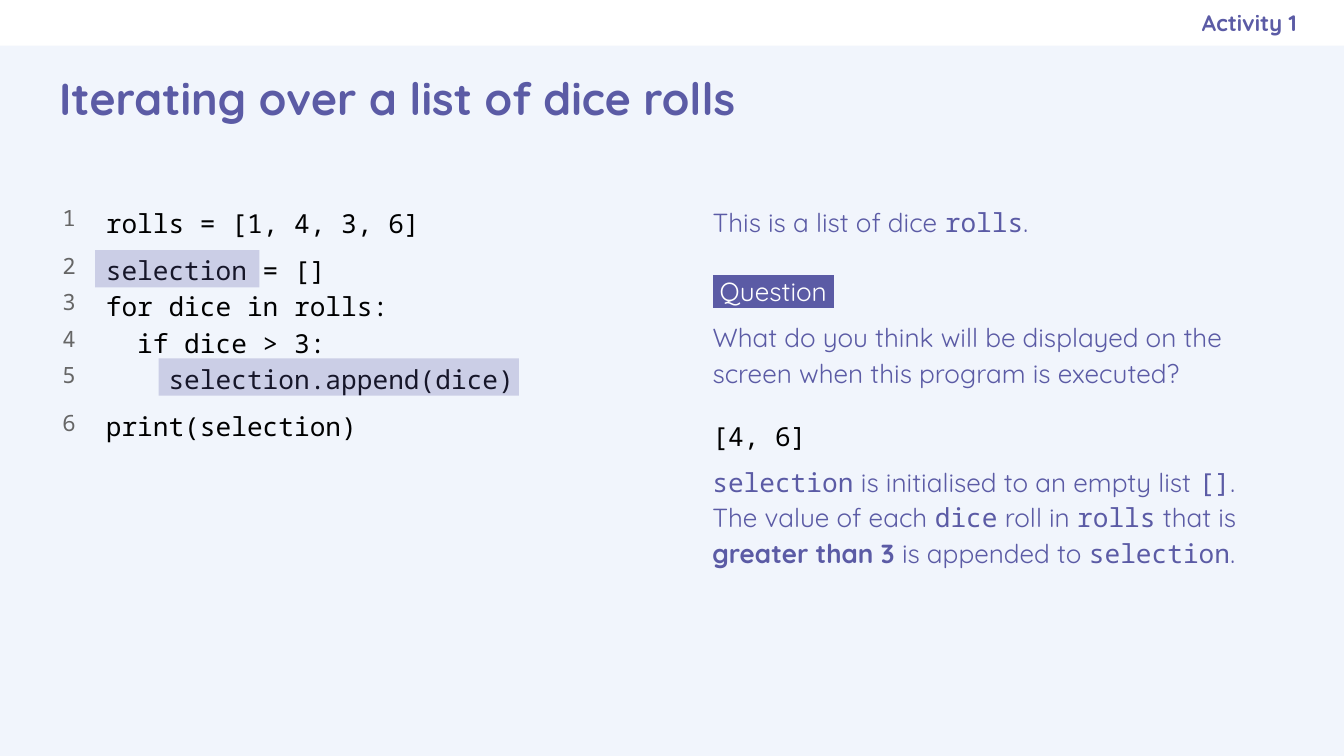
from dataclasses import dataclass

from lxml import etree
from pptx import Presentation
from pptx.dml import color as dml
from pptx.enum import shapes, text
from pptx.oxml import ns
from pptx.util import Pt

HUES = {
    "back": "F1F5FC",
    "white": "FFFFFF",
    "main": "5B5BA5",
    "code": "000000",
    "count": "666666",
}
SANS, MONO = "Quicksand", "Noto Sans Mono"
LEFT, RIGHT = text.PP_ALIGN.LEFT, text.PP_ALIGN.RIGHT
TOP, MIDDLE = text.MSO_ANCHOR.TOP, text.MSO_ANCHOR.MIDDLE


@dataclass
class Run:
    words: str
    font: str = SANS
    bold: bool = False
    mark: str = ""


@dataclass
class Para:
    runs: list[Run]
    hue: str = "main"
    size: float = 14
    before: float = 0
    line: float = 1.12
    align: int = LEFT


@dataclass
class Box:
    left: float
    top: float
    width: float
    height: float
    paras: list[Para]
    pads: tuple = (7.2, 7.2, 7.2, 7.2)
    anchor: int = TOP


def rgb(hue: str) -> dml.RGBColor:
    return dml.RGBColor.from_string(HUES[hue])


def mono(words: str) -> Run:
    return Run(words, MONO)


def add_run(par, run: Run, hue: str, mixed: bool) -> None:
    item = par.add_run()
    item.text = run.words
    if mixed:
        item.font.name = run.font
        item.font.bold = run.bold
    if run.mark:
        item.font.color.rgb = rgb(hue)
        fill = item._r.rPr.find(ns.qn("a:solidFill"))
        high = etree.Element(ns.qn("a:highlight"))
        etree.SubElement(high, ns.qn("a:srgbClr"), val=HUES[run.mark])
        fill.addnext(high)


def add_para(par, para: Para) -> None:
    props = par._p.get_or_add_pPr()
    props.set("marL", "0")
    props.set("indent", "0")
    par.alignment = para.align
    par.line_spacing = para.line
    par.space_before = Pt(para.before)
    par.space_after = Pt(0)
    etree.SubElement(props, ns.qn("a:buNone"))
    par.font.size = Pt(para.size)
    par.font.color.rgb = rgb(para.hue)
    mixed = len({(r.font, r.bold) for r in para.runs}) > 1
    if not mixed:
        par.font.name = para.runs[0].font
        par.font.bold = para.runs[0].bold
    for run in para.runs:
        add_run(par, run, para.hue, mixed)


def fill_box(shape, box: Box) -> None:
    shape.left, shape.top = Pt(box.left), Pt(box.top)
    shape.width, shape.height = Pt(box.width), Pt(box.height)
    frame = shape.text_frame
    frame.word_wrap = True
    frame.auto_size = text.MSO_AUTO_SIZE.NONE
    frame.vertical_anchor = box.anchor
    (frame.margin_left, frame.margin_top,
     frame.margin_right, frame.margin_bottom) = map(Pt, box.pads)
    for i, para in enumerate(box.paras):
        add_para(frame.add_paragraph() if i else frame.paragraphs[0], para)


def add_box(slide, box: Box) -> None:
    fill_box(slide.shapes.add_textbox(0, 0, 0, 0), box)


def add_rect(slide, left: float, top: float, width: float, height: float,
             hue: str, alpha: int = 100):
    rect = slide.shapes.add_shape(shapes.MSO_SHAPE.RECTANGLE, Pt(left), Pt(top),
                                  Pt(width), Pt(height))
    rect.shadow.inherit = False
    rect.line.fill.background()
    rect.fill.solid()
    rect.fill.fore_color.rgb = rgb(hue)
    if alpha < 100:
        tone = rect._element.spPr.find(".//" + ns.qn("a:srgbClr"))
        etree.SubElement(tone, ns.qn("a:alpha"), val=str(alpha * 1000))
    return rect


# Code lines, with the space above each one
CODE = [
    ("rolls = [1, 4, 3, 6]", 0),
    ("selection = []", 6),
    ("for dice in rolls:", 0),
    ("  if dice > 3:", 0),
    ("    selection.append(dice)", 0),
    ("print(selection)", 6),
]
SIDE = (7.2, 7.2, 4.3, 7.2)

HEAD = Box(24.5, 24.5, 671, 55.4, [
    Para([Run("Iterating over a list of dice rolls", bold=True)], size=24, line=1),
], anchor=MIDDLE)
LABEL = Box(414, 0, 280.8, 24.5, [
    Para([Run("Activity 1", bold=True)], size=12, line=1, align=RIGHT),
], (7.2, 7.2, 0, 7.2), MIDDLE)
COUNT = Box(25, 103, 15.6, 267, [
    Para([mono(str(i + 1))], "count", 12, gap + 3 if i else 0, 1.15, RIGHT)
    for i, (_, gap) in enumerate(CODE)
], (0, 4.3, 0, 7.2))
LINES = Box(49.5, 101.5, 238.5, 267, [
    Para([mono(words)], "code", before=gap, line=1.15) for words, gap in CODE
])
ASK = Box(374.5, 101.5, 322, 116, [
    Para([Run("This is a list of dice "), mono("rolls"), Run(".")]),
    Para([Run(" Question ", mark="main")], "white", before=18),
    Para([Run("What do you think will be displayed on the screen "
              "when this program is executed?")], before=6),
], SIDE)
REPLY = Box(374.5, 215.5, 322, 100, [
    Para([mono("[4, 6]")], "code", line=1.15),
    Para([mono("selection"), Run(" is initialised to an empty list "),
          mono("[]"), Run(".")], before=6),
    Para([Run("The value of each "), mono("dice"), Run(" roll in "),
          mono("rolls"), Run(" that is "), Run("greater than 3", bold=True),
          Run(" is appended to "), mono("selection"), Run(".")]),
], SIDE)


def main() -> None:
    deck = Presentation()
    deck.slide_width, deck.slide_height = Pt(720), Pt(405)
    slide = deck.slides.add_slide(deck.slide_layouts[3])
    slide.background.fill.solid()
    slide.background.fill.fore_color.rgb = rgb("back")

    # Top band, behind everything else
    band = add_rect(slide, 0, 0, 720, 24.5, "white")
    slide.shapes._spTree.insert(2, band._element)

    # Title, code and question
    for shape, box in zip(slide.placeholders, (HEAD, LINES, ASK)):
        fill_box(shape, box)

    # Label, line numbers and answer
    for box in (LABEL, COUNT, REPLY):
        add_box(slide, box)

    # Marks over the code
    add_rect(slide, 51, 134, 88, 20, "main", 25)
    add_rect(slide, 85, 192, 193, 20, "main", 25)

    deck.save("out.pptx")


if __name__ == "__main__":
    main()
